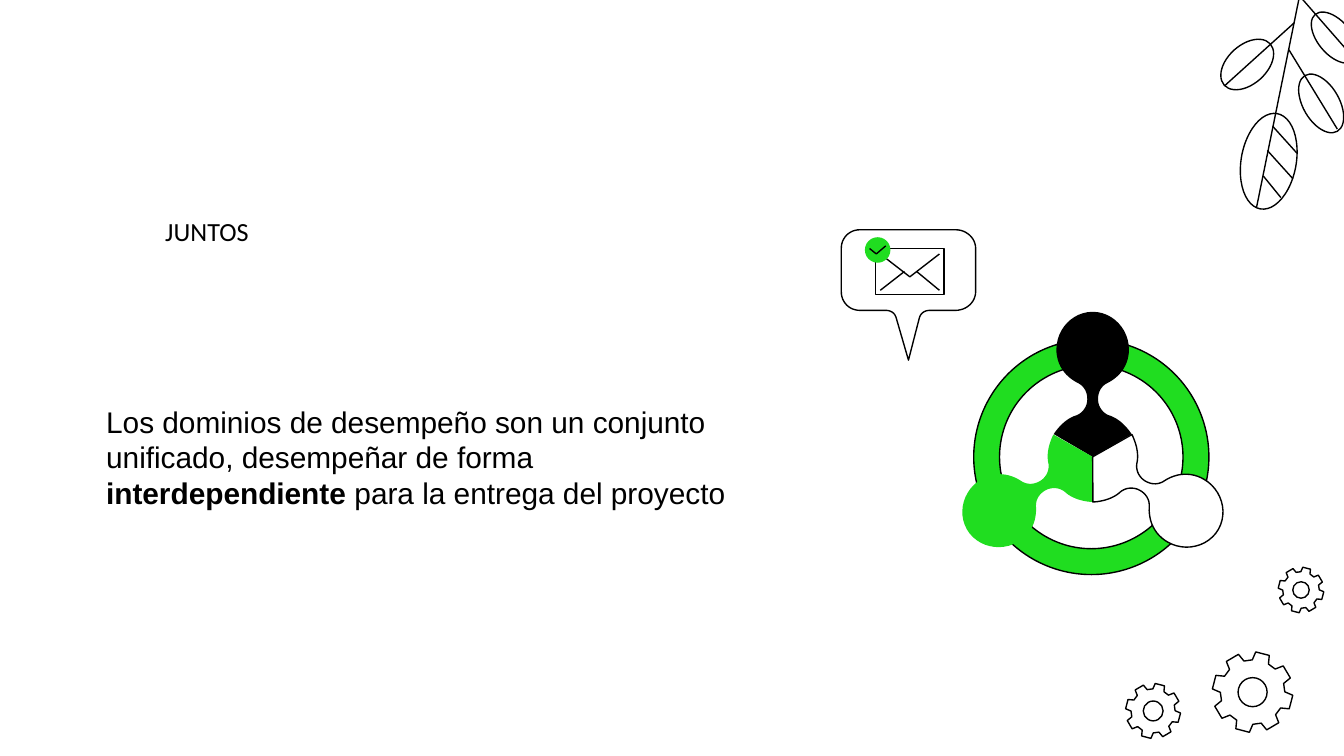
from dataclasses import dataclass
from math import cos, radians, sin

from pptx import Presentation
from pptx.dml.color import RGBColor
from pptx.enum.shapes import MSO_CONNECTOR, MSO_SHAPE
from pptx.enum.text import MSO_ANCHOR, PP_ALIGN
from pptx.oxml.ns import qn
from pptx.slide import Slide
from pptx.util import Inches, Pt


def color(value):
    return RGBColor.from_string(value)


def trace(start, *steps):
    points = [start]
    for step in steps:
        p0 = points[-1]
        if len(step) == 2:
            points.append(step)
            continue
        controls = [p0, step[:2], step[2:4], step[4:]]
        for i in range(1, 13):
            t = i / 12
            weights = ((1 - t) ** 3, 3 * t * (1 - t) ** 2, 3 * t * t * (1 - t), t ** 3)
            points.append(tuple(sum(w * c[axis] for w, c in zip(weights, controls))
                                for axis in (0, 1)))
    return points


def turn(points, center, degrees):
    c, s = cos(radians(degrees)), sin(radians(degrees))
    return [(center[0] + x * c - y * s, center[1] + x * s + y * c) for x, y in points]


@dataclass
class Sketch:
    """Draws black-outlined elements on the current slide."""

    slide: Slide
    ink: str = "000000"
    accent: str = "20DD20"
    paper: str = "FFFFFF"
    weight: float = 0.75

    def paint(self, sp, fill, outlined):
        sp.shadow.inherit = False
        if fill:
            sp.fill.solid()
            sp.fill.fore_color.rgb = color(fill)
        else:
            sp.fill.background()
        if outlined:
            sp.line.color.rgb = color(self.ink)
            sp.line.width = Pt(self.weight)
        else:
            sp.line.fill.background()

    def preset(self, kind, center, w, h, fill=None, outlined=True, rotation=0):
        x, y = center
        sp = self.slide.shapes.add_shape(
            kind, Inches(x - w / 2), Inches(y - h / 2), Inches(w), Inches(h))
        sp.rotation = rotation
        self.paint(sp, fill, outlined)
        return sp

    def outline(self, points, fill=None, outlined=True, close=True):
        corners = [(Inches(x), Inches(y)) for x, y in points]
        builder = self.slide.shapes.build_freeform(*corners[0])
        builder.add_line_segments(corners[1:], close=close)
        self.paint(builder.convert_to_shape(), fill, outlined)

    def line(self, x1, y1, x2, y2):
        cn = self.slide.shapes.add_connector(
            MSO_CONNECTOR.STRAIGHT, Inches(x1), Inches(y1), Inches(x2), Inches(y2))
        cn.line.color.rgb = color(self.ink)
        cn.line.width = Pt(self.weight)
        properties = cn._element.spPr
        properties.append(properties.makeelement(qn("a:effectLst"), {}))

    def gear(self, center, size):
        tip, root = size / 2, size * 0.4
        points = []
        for tooth in range(8):
            middle = 14.5 + 45 * tooth
            for offset, radius in ((-15, root), (-10, tip), (10, tip), (15, root)):
                angle = radians(middle + offset)
                points.append((center[0] + radius * cos(angle),
                               center[1] + radius * sin(angle)))
        self.outline(points)
        self.preset(MSO_SHAPE.OVAL, center, size * 0.36, size * 0.36)

    def title(self, text, x, y, w, h):
        sp = self.slide.shapes.title
        sp.left, sp.top, sp.width, sp.height = map(Inches, (x, y, w, h))
        tf = sp.text_frame
        tf.text = text
        tf.vertical_anchor = MSO_ANCHOR.TOP
        p = tf.paragraphs[0]
        p.alignment = PP_ALIGN.CENTER
        p.font.name, p.font.size = "Calibri", Pt(14)
        p.font.color.rgb = color(self.ink)

    def text(self, runs, x, y, w, h):
        tf = self.slide.shapes.add_textbox(*map(Inches, (x, y, w, h))).text_frame
        tf.word_wrap = True
        tf.vertical_anchor = MSO_ANCHOR.MIDDLE
        tf.margin_left = tf.margin_right = tf.margin_top = tf.margin_bottom = 0
        p = tf.paragraphs[0]
        p.font.name, p.font.size = "Arial", Pt(16)
        p.font.color.rgb = color(self.ink)
        for content, bold in runs:
            r = p.add_run()
            r.text = content
            r.font.bold = bold


def draw_branch(s):
    for center, length, width, rotation in (
            ((9.28, 0.48), 0.46, 0.29, -42), ((9.93, 0.28), 0.45, 0.25, 50),
            ((9.83, 0.77), 0.48, 0.27, 60), ((9.44, 1.2), 0.72, 0.41, -80)):
        s.preset(MSO_SHAPE.OVAL, center, length, width, s.paper, rotation=rotation)
    for ends in ((9.71, -0.23, 9.35, 1.54), (9.11, 0.64, 9.63, 0.17),
                 (9.67, -0.03, 10.08, 0.44), (9.59, 0.37, 9.95, 0.96),
                 (9.47, 0.94, 9.65, 1.14), (9.43, 1.12, 9.62, 1.33),
                 (9.4, 1.31, 9.53, 1.47)):
        s.line(*ends)


def draw_message(s):
    bubble = trace(
        (6.4, 1.71), (6.32, 1.71, 6.26, 1.77, 6.26, 1.85), (6.26, 2.17),
        (6.26, 2.25, 6.32, 2.31, 6.4, 2.31), (6.59, 2.31),
        (6.63, 2.31, 6.66, 2.33, 6.67, 2.37), (6.76, 2.68), (6.84, 2.37),
        (6.85, 2.33, 6.88, 2.31, 6.92, 2.31), (7.11, 2.31),
        (7.19, 2.31, 7.26, 2.25, 7.26, 2.17), (7.26, 1.85),
        (7.26, 1.77, 7.19, 1.71, 7.11, 1.71))
    s.outline(bubble, s.paper)
    s.preset(MSO_SHAPE.RECTANGLE, (6.77, 2.02), 0.51, 0.34)
    s.outline([(6.55, 1.89), (6.77, 2.06), (6.99, 1.89)], close=False)
    s.line(6.82, 2.02, 6.99, 2.16)
    s.line(6.55, 2.16, 6.73, 2.02)
    s.preset(MSO_SHAPE.OVAL, (6.53, 1.86), 0.19, 0.19, s.accent, outlined=False)
    s.outline([(6.47, 1.85), (6.52, 1.89), (6.59, 1.83)], close=False)


def draw_team(s):
    ring = s.preset(MSO_SHAPE.DONUT, (8.12, 3.4), 1.75, 1.75, s.accent)
    ring.adjustments[0] = 0.11
    left = trace(
        (0, -1.08), (-0.15, -1.08, -0.27, -0.95, -0.27, -0.8),
        (-0.27, -0.69, -0.21, -0.6, -0.11, -0.55),
        (-0.07, -0.53, -0.04, -0.49, -0.04, -0.43),
        (-0.04, -0.38, -0.07, -0.33, -0.12, -0.31),
        (-0.19, -0.29, -0.25, -0.23, -0.29, -0.17), (0, 0))
    person = left + [(-x, y) for x, y in left[-2:0:-1]]
    for fill, degrees in ((s.ink, 0), (s.accent, -120), (s.paper, 120)):
        s.outline(turn(person, (8.13, 3.4), degrees), fill, outlined=fill == s.paper)


def main():
    prs = Presentation()
    prs.slide_width = Inches(10)
    prs.slide_height = prs.slide_width * 9 // 16
    s = Sketch(prs.slides.add_slide(prs.slide_layouts[5]))
    for center, size in (((9.32, 5.15), 0.6), ((8.58, 5.29), 0.41), ((9.68, 4.39), 0.34)):
        s.gear(center, size)
    draw_branch(s)
    s.text((("Los dominios de desempeño son un conjunto unificado, desempeñar de forma ", False),
            ("interdependiente ", True),
            ("para la entrega del proyecto", False)), 0.79, 1.97, 4.84, 2.86)
    s.title("JUNTOS", 0.79, 1.55, 1.5, 0.42)
    draw_message(s)
    draw_team(s)
    prs.save("out.pptx")


if __name__ == "__main__":
    main()
